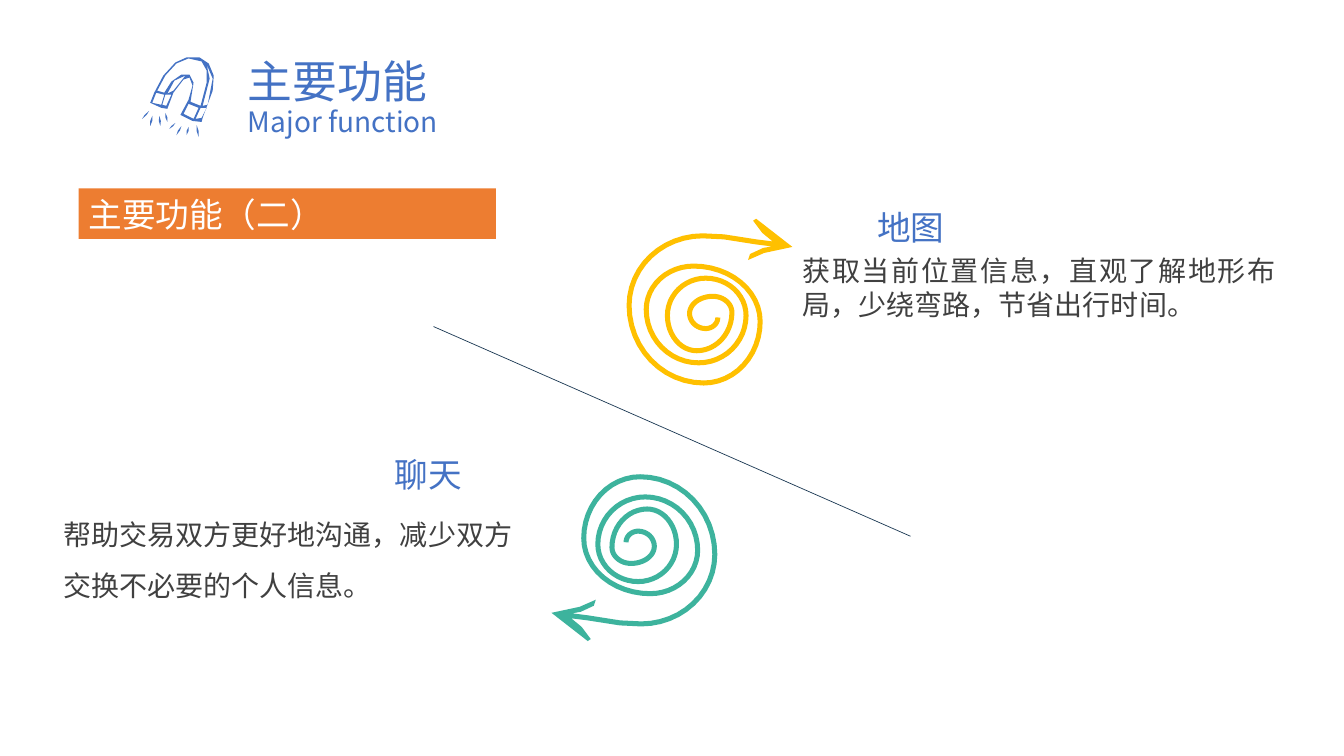
from math import cos, hypot, pi, sin

from lxml import etree
from pptx import Presentation
from pptx.dml.color import RGBColor
from pptx.enum.shapes import MSO_CONNECTOR, MSO_SHAPE
from pptx.enum.text import MSO_AUTO_SIZE, PP_ALIGN
from pptx.oxml.ns import qn
from pptx.util import Inches, Pt

STRAIGHT = MSO_CONNECTOR.STRAIGHT
RECTANGLE = MSO_SHAPE.RECTANGLE
GROW = MSO_AUTO_SIZE.SHAPE_TO_FIT_TEXT
LEFT, RIGHT, JUSTIFY = PP_ALIGN.LEFT, PP_ALIGN.RIGHT, PP_ALIGN.JUSTIFY
FONT = "Noto Sans CJK SC"
COLORS = {"blue": "4472C4", "teal": "3DB39D", "yellow": "FFC000", "orange": "ED7D31",
          "grey": "404040", "navy": "1C3954", "white": "FFFFFF"}
STEPS = 12
HALF_STROKE = 0.025

prs = Presentation()
prs.slide_width, prs.slide_height = Inches(13.33), Inches(7.5)
slide = prs.slides.add_slide(prs.slide_layouts[6])


def draw_outline(contours, color):
    contours = [[(Inches(x), Inches(y)) for x, y in contour] for contour in contours]
    builder = slide.shapes.build_freeform(*contours[0][0])
    for index, contour in enumerate(contours):
        if index:
            builder.move_to(*contour[0])
        builder.add_line_segments(contour[1:], close=True)
    outline = builder.convert_to_shape()
    outline.shadow.inherit = False
    outline.fill.solid()
    outline.fill.fore_color.rgb = RGBColor.from_string(COLORS[color])
    outline.line.fill.background()
    return outline


magnet_contours = [
    [(1.79, 1.14), (1.87, 0.99), (1.91, 0.85), (1.88, 0.77), (1.82, 0.79), (1.72, 0.92), (1.66, 1.08),
     (1.6, 1.07), (1.49, 1.02), (1.53, 0.92), (1.62, 0.75), (1.74, 0.62), (1.85, 0.57), (1.98, 0.57),
     (2.07, 0.63), (2.12, 0.75), (2.11, 0.9), (2.01, 1.17), (2, 1.21), (1.91, 1.2)],
    [(1.99, 1.05), (2.05, 0.82), (2.05, 0.7), (2, 0.61), (1.87, 0.58), (1.75, 0.63), (1.64, 0.75),
     (1.56, 0.9), (1.63, 0.92), (1.7, 0.81), (1.8, 0.74), (1.88, 0.74), (1.92, 0.82), (1.89, 1.01)],
    [(2.05, 0.64), (2.08, 0.78), (2.01, 1.05), (2.06, 1.04), (2.11, 0.78)],
    [(1.92, 1.18), (1.97, 1.07), (1.87, 1.03), (1.82, 1.13)],
    [(1.51, 1.02), (1.6, 1.04), (1.63, 0.94), (1.55, 0.92)],
    [(1.84, 0.75), (1.73, 0.8), (1.66, 0.93), (1.72, 0.9)],
    [(1.94, 1.18), (2, 1.17), (2.05, 1.07), (1.99, 1.07)],
    [(1.65, 1.05), (1.7, 0.94), (1.64, 0.94), (1.61, 1.04)],
]
ray_ends = [(1.48, 1.1, 1.41, 1.18), (1.95, 1.24, 1.97, 1.36), (1.51, 1.15, 1.49, 1.25),
            (1.8, 1.25, 1.75, 1.34), (1.58, 1.15, 1.59, 1.25), (1.74, 1.22, 1.68, 1.28),
            (1.87, 1.26, 1.85, 1.34), (1.64, 1.12, 1.66, 1.21)]
magnet = [draw_outline(magnet_contours, "blue")]
for x0, y0, x1, y1 in ray_ends:
    middle_x, middle_y = (x0 + x1) / 2, (y0 + y1) / 2
    magnet.append(draw_outline([[(x0, y0), (middle_x + 0.01, middle_y), (x1, y1),
                                 (middle_x - 0.01, middle_y)]], "blue"))
slide.shapes.add_group_shape(magnet)

turning_points = [(6.97, 2.34), (6.24, 3.03), (6.98, 3.8), (7.54, 3.19),
                  (6.88, 2.64), (6.41, 3.07), (6.93, 3.6), (7.4, 3.13),
                  (7, 2.76), (6.62, 3.13), (6.91, 3.48), (7.26, 3.1),
                  (7.07, 2.94), (6.84, 3.11), (7, 3.26), (7.12, 3.15)]
centre_line = [(7.66, 2.42), (7.5, 2.4), (7.18, 2.35), turning_points[0]]
for i, ((x0, y0), (x1, y1)) in enumerate(zip(turning_points, turning_points[1:])):
    for step in range(1, STEPS + 1):
        angle = step / STEPS * pi / 2
        rise, fall = sin(angle), 1 - cos(angle)
        across, down = (fall, rise) if i % 2 else (rise, fall)
        centre_line.append((x0 + (x1 - x0) * across, y0 + (y1 - y0) * down))
inner_edge, outer_edge = [], []
for i, (x, y) in enumerate(centre_line):
    before, after = centre_line[max(i - 1, 0)], centre_line[min(i + 1, len(centre_line) - 1)]
    dx, dy = after[0] - before[0], after[1] - before[1]
    shift = HALF_STROKE / hypot(dx, dy)
    inner_edge.append((x + shift * dy, y - shift * dx))
    outer_edge.append((x - shift * dy, y + shift * dx))
arrowhead = [(7.56, 2.31), (7.47, 2.19), (7.5, 2.17), (7.86, 2.45), (7.58, 2.51),
             (7.42, 2.58), (7.44, 2.52), (7.57, 2.46)]
map_spiral = arrowhead + inner_edge + outer_edge[::-1]
if hypot(inner_edge[0][0] - 7.57, inner_edge[0][1] - 2.46) > hypot(outer_edge[0][0] - 7.57, outer_edge[0][1] - 2.46):
    map_spiral = arrowhead + outer_edge + inner_edge[::-1]
chat_spiral = [(13.33 - x, 8.53 - y) for x, y in map_spiral]
draw_outline([chat_spiral], "teal")
draw_outline([map_spiral], "yellow")

divider = slide.shapes.add_connector(STRAIGHT, Inches(9.03), Inches(5.32), Inches(4.3), Inches(3.24))
divider.line.color.rgb = RGBColor.from_string(COLORS["navy"])
divider.line.width = Pt(0.5)
etree.SubElement(divider._element.spPr, qn("a:effectLst"))

banner = slide.shapes.add_shape(RECTANGLE, Inches(0.78), Inches(1.87), Inches(4.14), Inches(0.5))
banner.shadow.inherit = False
banner.fill.solid()
banner.fill.fore_color.rgb = RGBColor.from_string(COLORS["orange"])
banner.line.fill.background()

text_groups = [
    [("主要功能", (2.36, 0.48, 5.55, 0.64), 32, "blue", {"alignment": LEFT}),
     ("Major function", (2.36, 0.99, 5.52, 0.44), 20, "blue", {"alignment": LEFT})],
    [("帮助交易双方更好地沟通，减少双方交换不必要的个人信息。", (0.53, 4.92, 4.89, 1.11), 20, "grey",
      {"alignment": LEFT, "line_spacing": 1.5}),
     ("聊天", (0.53, 4.45, 4.15, 0.5), 24, "blue", {"alignment": RIGHT})],
    [("获取当前位置信息，直观了解地形布局，少绕弯路，节省出行时间。", (7.86, 2.47, 4.89, 0.77), 20, "grey",
      {"alignment": JUSTIFY}),
     ("地图", (8.6, 2, 4.15, 0.5), 24, "blue", {"alignment": LEFT})],
    [("主要功能（二）", None, 24, "white", {"alignment": LEFT})],
]
for texts in text_groups:
    members = []
    for wording, place, size, color, paragraph_format in texts:
        holder = slide.shapes.add_textbox(*map(Inches, place)) if place else banner
        members.append(holder)
        frame = holder.text_frame
        frame.word_wrap = True
        frame.auto_size = GROW
        paragraph = frame.paragraphs[0]
        for attribute, value in paragraph_format.items():
            setattr(paragraph, attribute, value)
        run = paragraph.add_run()
        run.text = wording
        for attribute, value in {"name": FONT, "size": Pt(size)}.items():
            setattr(run.font, attribute, value)
        run.font.color.rgb = RGBColor.from_string(COLORS[color])
        etree.SubElement(run._r.get_or_add_rPr(), qn("a:ea")).set("typeface", FONT)
    if len(members) > 1:
        slide.shapes.add_group_shape(members)

prs.save("out.pptx")
